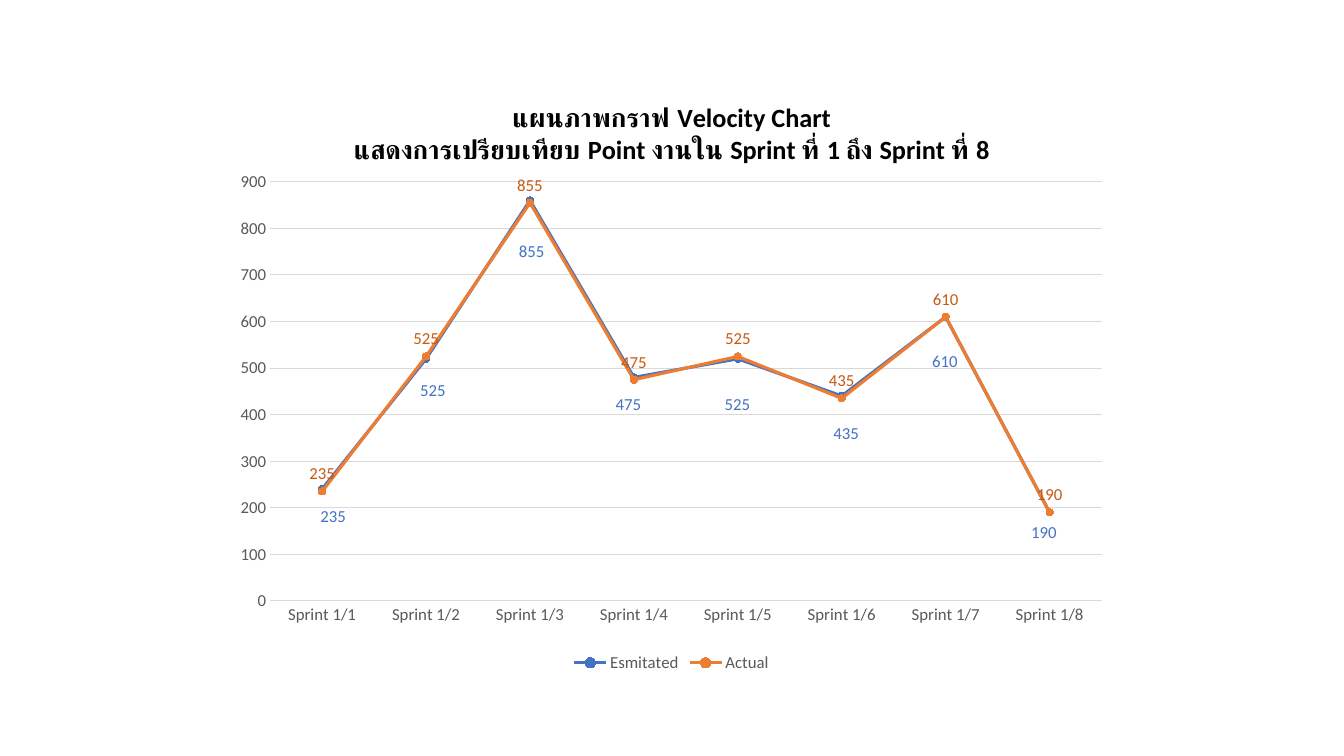
import pptx
import pptx.chart.data
import pptx.dml.color
import pptx.enum.chart
import pptx.enum.text
import pptx.oxml
import pptx.oxml.ns
import pptx.util

Pt = pptx.util.Pt
FONT = "Calibri"
BLUE, ORANGE, DARK_ORANGE = "4472C4", "ED7D31", "C55A11"
GREY, LIGHT_GREY, BLACK = "595959", "D9D9D9", "000000"

SPRINTS = [f"Sprint 1/{number}" for number in range(1, 9)]
ACTUAL = [235, 525, 855, 475, 525, 435, 610, 190]
ESTIMATED = [240, 520, 860, 480, 520, 440, 610, 190]
TITLE_LINES = [
    "แผนภาพกราฟ Velocity Chart",
    "แสดงการเปรียบเทียบ Point งานใน Sprint ที่ 1 ถึง Sprint ที่ 8",
]
# Left and top of each estimate label, in points
ESTIMATE_PLACES = [
    (221.8, 357.8), (293, 267.8), (363.6, 168.5), (432.7, 277.9),
    (510.5, 277.9), (588.2, 298.1), (658.8, 247), (729.4, 369.4),
]


def color(hex_code):
    """Turn a hex string into a colour."""
    return pptx.dml.color.RGBColor.from_string(hex_code)


def format_font(font, size=12, fill=GREY, bold=False):
    """Set typeface, size, weight and colour of a font."""
    font.name, font.size, font.bold = FONT, Pt(size), bold
    font.color.rgb = color(fill)


def format_line(line, fill, width):
    """Set colour and width of a line."""
    line.color.rgb = color(fill)
    line.width = Pt(width)


def add_label(slide, text, left, top, **font_format):
    """Add a one-line text box that does not wrap."""
    label = slide.shapes.add_textbox(Pt(left), Pt(top), Pt(36), Pt(20))
    label.text_frame.word_wrap = False
    run = label.text_frame.paragraphs[0].add_run()
    run.text = text
    format_font(run.font, **font_format)


def place(element, successors, inner=False, **fractions):
    """Give a chart part a manual layout in fractions of the chart."""
    for old in element.findall(pptx.oxml.ns.qn("c:layout")):
        element.remove(old)
    target = '<c:layoutTarget val="inner"/>' if inner else ""
    modes = "".join(f'<c:{key}Mode val="edge"/>' for key in "xy")
    values = "".join(f'<c:{key} val="{value}"/>' for key, value in fractions.items())
    layout = pptx.oxml.parse_xml(
        f'<c:layout {pptx.oxml.ns.nsdecls("c")}><c:manualLayout>'
        f"{target}{modes}{values}</c:manualLayout></c:layout>"
    )
    element.insert_element_before(layout, *successors)


def add_title(chart):
    """Write the two-line chart title."""
    frame = chart.chart_title.text_frame
    for index, line in enumerate(TITLE_LINES):
        paragraph = frame.add_paragraph() if index else frame.paragraphs[0]
        run = paragraph.add_run()
        run.text = line
        format_font(run.font, size=18.8, fill=BLACK, bold=True)
    chart.chart_title.include_in_layout = False
    place(chart.chart_title._element, ("c:overlay", "c:spPr", "c:txPr"), x=0.142, y=0.03)


def format_axes(chart):
    """Style both axes and the gridlines."""
    for axis in (chart.category_axis, chart.value_axis):
        axis.major_tick_mark = pptx.enum.chart.XL_TICK_MARK.NONE
        axis.minor_tick_mark = pptx.enum.chart.XL_TICK_MARK.NONE
        format_font(axis.tick_labels.font)
    format_line(chart.category_axis.format.line, LIGHT_GREY, 0.75)
    scale = chart.value_axis
    scale.minimum_scale, scale.maximum_scale, scale.major_unit = 0, 900, 100
    scale.format.line.fill.background()
    format_line(scale.major_gridlines.format.line, LIGHT_GREY, 0.75)


def format_series(series, fill):
    """Style a line and its round markers."""
    series.smooth = False
    format_line(series.format.line, fill, 2.25)
    series.marker.style = pptx.enum.chart.XL_MARKER_STYLE.CIRCLE
    series.marker.size = 5
    series.marker.format.fill.solid()
    series.marker.format.fill.fore_color.rgb = color(fill)
    format_line(series.marker.format.line, fill, 0.75)


def add_velocity_chart(slide):
    """Add the chart of estimated and actual points per sprint."""
    data = pptx.chart.data.CategoryChartData()
    data.categories = SPRINTS
    data.add_series("Esmitated", ESTIMATED)
    data.add_series("Actual", ACTUAL)
    chart = slide.shapes.add_chart(
        pptx.enum.chart.XL_CHART_TYPE.LINE_MARKERS,
        Pt(159.7), Pt(56.5), Pt(640), Pt(427), data,
    ).chart
    format_font(chart.font, size=10, fill=BLACK)
    add_title(chart)
    format_axes(chart)

    chart.plots[0].vary_by_categories = False
    for series, fill in zip(chart.series, (BLUE, ORANGE)):
        format_series(series, fill)
    actual_labels = chart.series[1].data_labels
    actual_labels.show_value = True
    actual_labels.position = pptx.enum.chart.XL_LABEL_POSITION.ABOVE
    format_font(actual_labels.font, fill=DARK_ORANGE)

    chart.has_legend = True
    chart.legend.position = pptx.enum.chart.XL_LEGEND_POSITION.BOTTOM
    chart.legend.include_in_layout = False
    format_font(chart.legend.font)

    plot_area = chart._chartSpace.chart.plotArea
    place(plot_area, ("c:lineChart",), inner=True, x=0.052, y=0.172, w=0.928, h=0.701)


def main():
    """Build the slide and save it."""
    deck = pptx.Presentation()
    deck.slide_width, deck.slide_height = Pt(960), Pt(540)
    slide = deck.slides.add_slide(deck.slide_layouts[6])
    add_velocity_chart(slide)
    for points, (left, top) in zip(ACTUAL, ESTIMATE_PLACES):
        add_label(slide, str(points), left, top, fill=BLUE)
    deck.save("out.pptx")


main()
